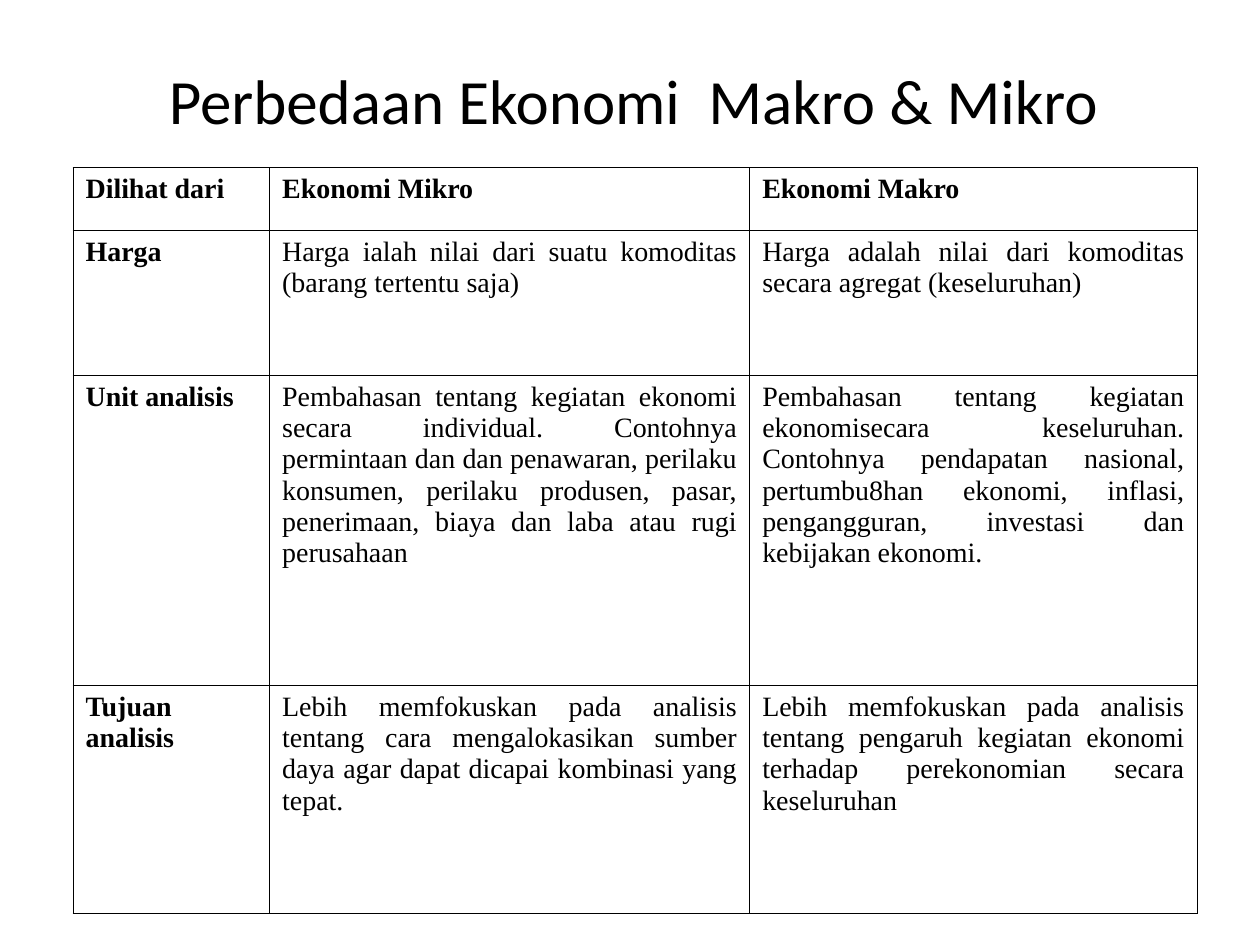
from dataclasses import dataclass

from lxml import etree
from pptx import Presentation
from pptx.dml.color import RGBColor
from pptx.enum.text import MSO_ANCHOR, PP_ALIGN
from pptx.oxml.ns import qn
from pptx.util import Inches, Pt

CENTER = PP_ALIGN.CENTER
JUSTIFY = PP_ALIGN.JUSTIFY
MIDDLE = MSO_ANCHOR.MIDDLE


@dataclass(frozen=True)
class Theme:
    ink: RGBColor = RGBColor(0, 0, 0)
    title_font: str = "Calibri"
    table_font: str = "Times New Roman"
    title_size: float = 36
    table_size: float = 16
    border_width: float = 0.45


@dataclass(frozen=True)
class Comparison:
    aspect: str
    micro: str
    macro: str
    height: float
    is_header: bool = False


THEME = Theme()
TITLE = "Perbedaan Ekonomi  Makro & Mikro "
COLUMN_WIDTHS = (1.56, 3.81, 3.55)
COMPARISONS = (
    Comparison("Dilihat dari", "Ekonomi Mikro", "Ekonomi Makro", 0.5, is_header=True),
    Comparison(
        "Harga",
        "Harga ialah nilai dari suatu komoditas (barang tertentu saja)",
        "Harga adalah nilai dari komoditas secara agregat (keseluruhan)",
        1.15,
    ),
    Comparison(
        "Unit analisis",
        "Pembahasan tentang kegiatan ekonomi secara individual. Contohnya "
        "permintaan dan dan penawaran, perilaku konsumen, perilaku produsen, "
        "pasar, penerimaan, biaya dan laba atau rugi perusahaan",
        "Pembahasan tentang kegiatan ekonomisecara keseluruhan. Contohnya "
        "pendapatan nasional, pertumbu8han ekonomi, inflasi, pengangguran, "
        "investasi dan kebijakan ekonomi.",
        2.46,
    ),
    Comparison(
        "Tujuan analisis",
        "Lebih memfokuskan pada analisis tentang cara mengalokasikan sumber "
        "daya agar dapat dicapai kombinasi yang tepat.",
        "Lebih memfokuskan pada analisis tentang pengaruh kegiatan ekonomi "
        "terhadap perekonomian secara keseluruhan",
        1.81,
    ),
)


def write_text(frame, text: str, font_name: str, size: float, alignment, bold: bool = False) -> None:
    frame.text = text
    paragraph = frame.paragraphs[0]
    paragraph.alignment = alignment
    font = paragraph.runs[0].font
    font.name = font_name
    font.size = Pt(size)
    font.bold = bold
    font.color.rgb = THEME.ink


def add_borders(cell) -> None:
    properties = cell._tc.get_or_add_tcPr()
    for position, side in enumerate(("a:lnL", "a:lnR", "a:lnT", "a:lnB")):
        line = etree.Element(qn(side), w=str(Pt(THEME.border_width)))
        fill = etree.SubElement(line, qn("a:solidFill"))
        etree.SubElement(fill, qn("a:srgbClr"), val=str(THEME.ink))
        properties.insert(position, line)


def add_title(slide) -> None:
    title = slide.shapes.add_textbox(Inches(0.5), Inches(0.33), Inches(9.17), Inches(0.92))
    frame = title.text_frame
    frame.word_wrap = True
    frame.vertical_anchor = MIDDLE
    write_text(frame, TITLE, THEME.title_font, THEME.title_size, CENTER)


def add_comparison_table(slide) -> None:
    table = slide.shapes.add_table(
        len(COMPARISONS), len(COLUMN_WIDTHS), Inches(0.58), Inches(1.33),
        Inches(sum(COLUMN_WIDTHS)), Inches(sum(row.height for row in COMPARISONS)),
    ).table
    table.horz_banding = False
    for column, width in zip(table.columns, COLUMN_WIDTHS):
        column.width = Inches(width)
    for row, comparison in zip(table.rows, COMPARISONS):
        row.height = Inches(comparison.height)
        texts = (comparison.aspect, comparison.micro, comparison.macro)
        for index, (cell, text) in enumerate(zip(row.cells, texts)):
            bold = comparison.is_header or index == 0
            write_text(cell.text_frame, text, THEME.table_font, THEME.table_size, JUSTIFY, bold)
            cell.fill.background()
            add_borders(cell)


def main() -> None:
    presentation = Presentation()
    presentation.slide_width = Inches(10)
    presentation.slide_height = Inches(7.5)
    slide = presentation.slides.add_slide(presentation.slide_layouts[6])
    add_title(slide)
    add_comparison_table(slide)
    presentation.save("out.pptx")


if __name__ == "__main__":
    main()
